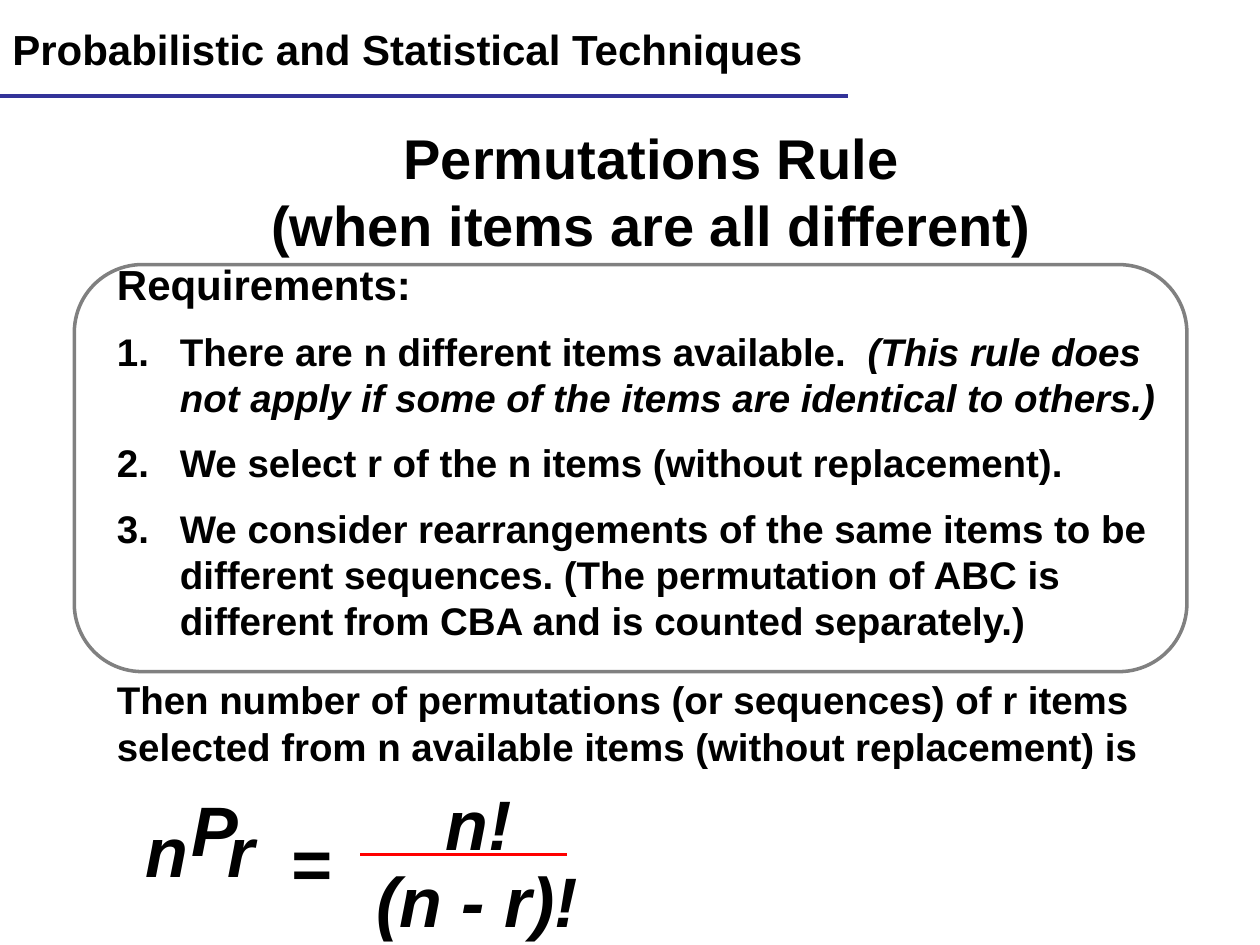
"""Build the slide that states the permutations rule."""
from dataclasses import dataclass

from lxml import etree
from pptx import Presentation
from pptx.dml.color import RGBColor
from pptx.enum.shapes import MSO_CONNECTOR, MSO_SHAPE
from pptx.enum.text import MSO_ANCHOR, PP_ALIGN
from pptx.oxml.ns import qn
from pptx.slide import Slide
from pptx.text.text import TextFrame, _Paragraph
from pptx.util import Emu, Inches, Pt

LEFT, CENTER = PP_ALIGN.LEFT, PP_ALIGN.CENTER
TOP, MIDDLE = MSO_ANCHOR.TOP, MSO_ANCHOR.MIDDLE
ROUND = MSO_SHAPE.ROUNDED_RECTANGLE
STRAIGHT = MSO_CONNECTOR.STRAIGHT
WIDE, HIGH = Inches(10), Inches(7.5)


@dataclass(frozen=True)
class Theme:
    """Colours, font and type sizes of the slide."""
    face: str = "Arial"
    ink: str = "000000"
    rule: str = "333399"
    bar: str = "FF0000"
    edge: str = "808080"
    title: int = 32
    head: int = 24
    body: int = 22
    math: int = 40


@dataclass(frozen=True)
class Box:
    """A place in percent of the slide's width and height."""
    left: float
    top: float
    width: float
    height: float

    def emu(self) -> tuple[Emu, Emu, Emu, Emu]:
        """Return left, top, width and height as lengths."""
        return (Emu(round(WIDE * self.left / 100)), Emu(round(HIGH * self.top / 100)),
                Emu(round(WIDE * self.width / 100)), Emu(round(HIGH * self.height / 100)))


@dataclass(frozen=True)
class Label:
    """A text with its place and look."""
    box: Box
    lines: tuple[str, ...]
    size: int
    align: PP_ALIGN = LEFT
    anchor: MSO_ANCHOR = TOP
    wrap: bool = True
    math: bool = False


@dataclass(frozen=True)
class Rule:
    """A level line in percent of the slide."""
    left: float
    right: float
    top: float
    color: str
    width: float


@dataclass(frozen=True)
class Item:
    """A numbered requirement with an optional italic remark."""
    text: str
    note: str = ""


THEME = Theme()
LABELS = (
    Label(Box(0, 0, 82.5, 10.4), ("Probabilistic and Statistical Techniques",),
          THEME.head, anchor=MIDDLE),
    Label(Box(9.2, 11.2, 85, 17.87), ("Permutations Rule", "(when items are all different)"),
          THEME.title, CENTER, MIDDLE),
    Label(Box(8.3, 70.93, 86.7, 11.07),
          ("Then number of permutations (or sequences) of r items selected "
           "from n available items (without replacement) is",), THEME.body),
)
TERMS = (
    ("(n - r)!", 28.9, 89.6, 28, True),
    ("n  r", 10.6, 84.4, 11.5, True),
    ("P", 14.2, 82.13, 5.2, False),
    ("=", 22.1, 85.6, 5.7, False),
    ("n!", 34.4, 81.47, 12.7, True),
)
RULES = (Rule(0, 67.3, 10.13, THEME.rule, 2.25), Rule(28.6, 45, 90.4, THEME.bar, 2))
FRAME = Box(5.9, 28, 88.3, 43.07)
LIST = Box(8.3, 26.67, 86.7, 43.33)
ITEMS = (
    Item("There are n different items available.  ",
         "(This rule does not apply if some of the items are identical to others.)"),
    Item("We select r of the n items (without replacement)."),
    Item("We consider rearrangements of the same items to be different sequences. "
         "(The permutation of ABC is different from CBA and is counted separately.)"),
)


def style(para: _Paragraph, size: int) -> None:
    """Set the bold theme font on a paragraph."""
    font = para.font
    font.name, font.size, font.bold = THEME.face, Pt(size), True
    font.color.rgb = RGBColor.from_string(THEME.ink)


def add_frame(slide: Slide, box: Box, wrap: bool = True) -> TextFrame:
    """Add a text box and return its frame."""
    frame = slide.shapes.add_textbox(*box.emu()).text_frame
    frame.word_wrap = wrap
    return frame


def add_label(slide: Slide, label: Label) -> None:
    """Draw a label, one paragraph for each line."""
    frame = add_frame(slide, label.box, label.wrap)
    frame.vertical_anchor = label.anchor
    frame.text = "\n".join(label.lines)
    for para in frame.paragraphs:
        style(para, label.size)
        para.alignment = label.align
        if label.math:
            para.font.italic = True
            para.line_spacing = 1.05


def add_rule(slide: Slide, rule: Rule) -> None:
    """Draw a level line without a shadow."""
    left, top, width, _ = Box(rule.left, rule.top, rule.right - rule.left, 0).emu()
    line = slide.shapes.add_connector(STRAIGHT, left, top, left + width, top)
    line.line.color.rgb = RGBColor.from_string(rule.color)
    line.line.width = Pt(rule.width)
    etree.SubElement(line._element.spPr, qn("a:effectLst"))


def add_list(slide: Slide) -> None:
    """Draw the heading and the numbered requirements."""
    frame = add_frame(slide, LIST)
    head = frame.paragraphs[0]
    head.text = "Requirements:"
    style(head, THEME.head)
    for item in ITEMS:
        para = frame.add_paragraph()
        style(para, THEME.body)
        para.space_before = Pt(THEME.body / 2)
        para.add_run().text = item.text
        if item.note:
            run = para.add_run()
            run.text, run.font.italic = item.note, True
        props = para._p.get_or_add_pPr()
        props.set("marL", str(Inches(0.5)))
        props.set("indent", str(-Inches(0.5)))
        mark = etree.Element(qn("a:buAutoNum"), type="arabicPeriod")
        props.find(qn("a:defRPr")).addprevious(mark)


def add_border(slide: Slide) -> None:
    """Draw the rounded border around the requirements."""
    shape = slide.shapes.add_shape(ROUND, *FRAME.emu())
    shape.shadow.inherit = False
    shape.fill.background()
    shape.line.color.rgb = RGBColor.from_string(THEME.edge)
    shape.line.width = Pt(2)


def main() -> None:
    """Build and save the slide."""
    deck = Presentation()
    deck.slide_width, deck.slide_height = WIDE, HIGH
    slide = deck.slides.add_slide(deck.slide_layouts[6])
    for label in LABELS:
        add_label(slide, label)
    for text, left, top, width, wrap in TERMS:
        add_label(slide, Label(Box(left, top, width, 10.67), (text,), THEME.math,
                               wrap=wrap, math=True))
    for rule in RULES:
        add_rule(slide, rule)
    add_list(slide)
    add_border(slide)
    deck.save("out.pptx")


if __name__ == "__main__":
    main()
